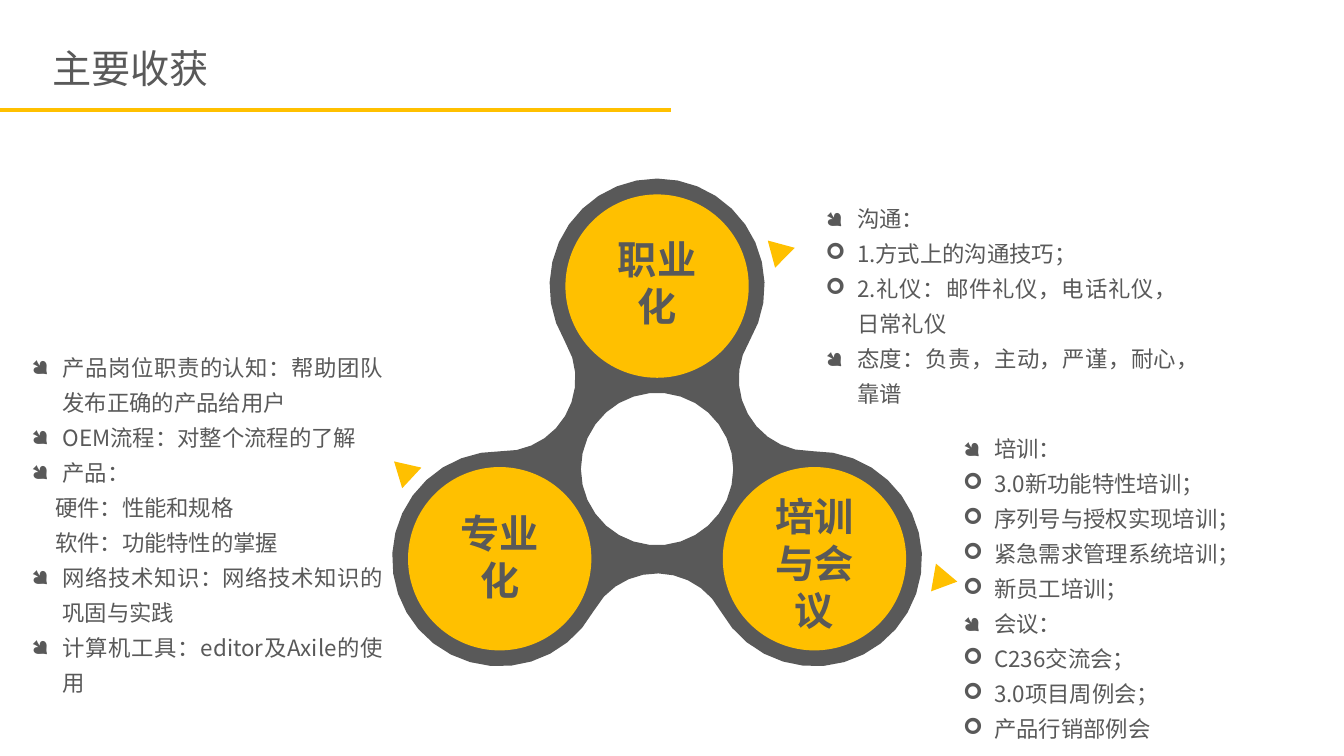
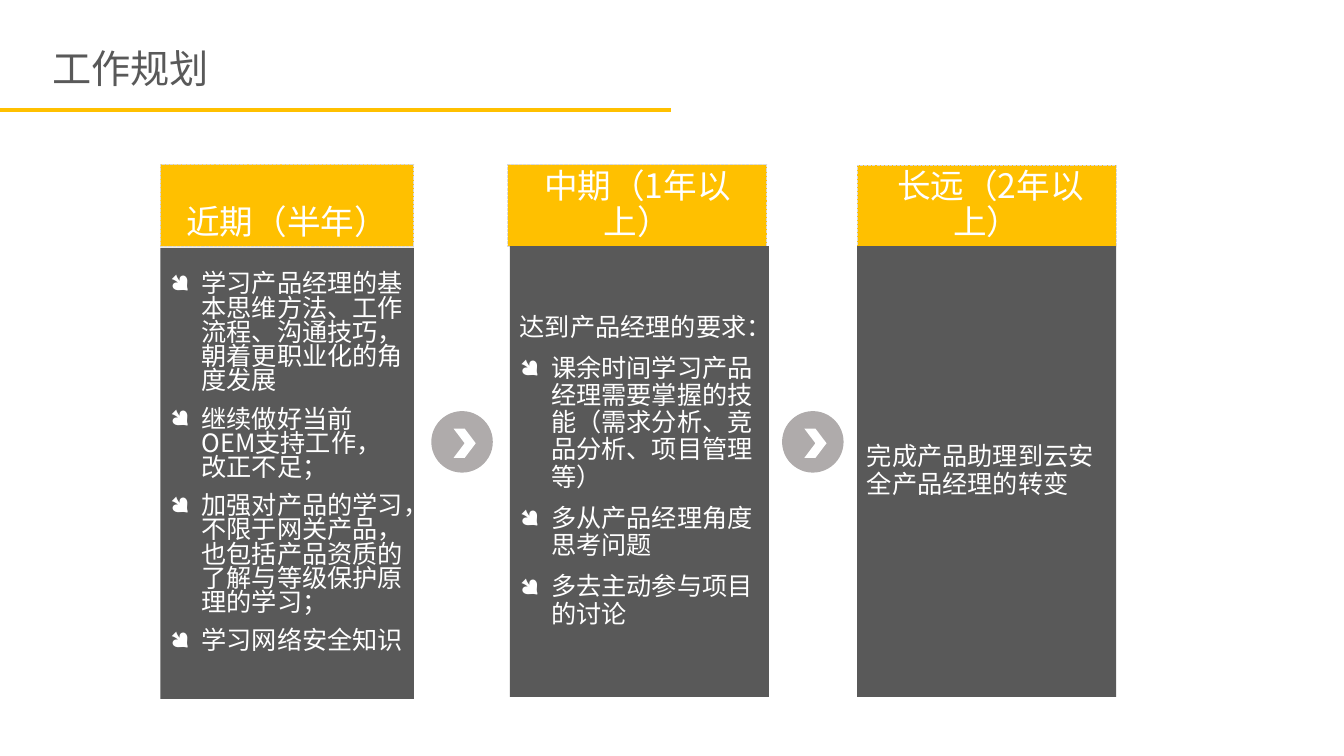
"""Build two slides: main gains and the work plan."""
from math import cos, radians, sin
from lxml.etree import SubElement
from pptx import Presentation
from pptx.dml.color import RGBColor
from pptx.enum.dml import MSO_LINE
from pptx.enum.shapes import MSO_CONNECTOR, MSO_SHAPE
from pptx.enum.text import MSO_ANCHOR, PP_ALIGN
from pptx.oxml.ns import qn
from pptx.util import Cm, Pt

FONT = "Noto Sans CJK SC"
GOLD, DARK, GREY, PALE, WHITE = "FFC000", "595959", "AFABAB", "D9D9D9", "FFFFFF"
HANG = Cm(0.79)


def paint(item, hue):
    """Fill a shape, line or font; strip a shape's outline and shadow."""
    item.fill.solid()
    item.fill.fore_color.rgb = RGBColor.from_string(hue)
    if hasattr(item, "shadow"):
        item.shadow.inherit = False
        item.line.fill.background()


def write(shape, rows, size, hue, align=PP_ALIGN.LEFT, anchor=MSO_ANCHOR.TOP,
          pitch=1.0, before=0, edge=(0, 0, 0, 0), pad=0, bold=False):
    """Write (mark, text) rows, where a mark becomes a hanging bullet."""
    frame = shape.text_frame
    frame.word_wrap = True
    frame.vertical_anchor = anchor
    frame.margin_left, frame.margin_top, frame.margin_right, frame.margin_bottom = map(Cm, edge)
    for i, (mark, text) in enumerate(rows):
        para = frame.add_paragraph() if i else frame.paragraphs[0]
        para.alignment = align
        para.line_spacing = pitch
        para.space_before = Pt(before)
        props = para._p.get_or_add_pPr()
        props.set("marL", str(HANG if mark else Cm(pad)))
        props.set("indent", str(-HANG if mark else 0))
        if mark:
            SubElement(props, qn("a:buFont")).set("typeface", "Wingdings")
            SubElement(props, qn("a:buChar")).set("char", mark)
        else:
            SubElement(props, qn("a:buNone"))
        run = para.add_run()
        run.text = text
        run.font.size = Pt(size)
        run.font.bold = bold
        run.font.name = FONT
        paint(run.font, hue)
        SubElement(run._r.get_or_add_rPr(), qn("a:ea")).set("typeface", FONT)


deck = Presentation()
deck.slide_width, deck.slide_height = Cm(33.87), Cm(19.05)
blank = deck.slide_layouts[6]
gains, plan = (deck.slides.add_slide(blank).shapes for i in range(2))

MIDX, MIDY = 16.56, 11.79
LOBE, DISC, BEND, HOLE = 2.71, 2.31, 1.83, 1.92
hubs, arcs = [], []
for turn in (-90, 30, 150):
    hub = (MIDX + 4.58 * cos(radians(turn)), MIDY + 4.58 * sin(radians(turn)))
    gap = (MIDX + 4.49 * cos(radians(turn + 60)), MIDY + 4.49 * sin(radians(turn + 60)))
    hubs.append(hub)
    arcs.append((hub, LOBE, range(turn - 121, turn + 122, 11)))
    arcs.append((gap, BEND, range(turn + 289, turn + 192, -12)))
arcs.append(((MIDX, 11.82), HOLE, range(360, 0, -12)))
curves = [[(Cm(x + r * cos(radians(a))), Cm(y + r * sin(radians(a)))) for a in span]
          for (x, y), r, span in arcs]
rim, hole = sum(curves[:-1], []), curves[-1]
path = gains.build_freeform(*rim[0], scale=1.0)
path.add_line_segments(rim[1:], close=True)
path.move_to(*hole[0])
path.add_line_segments(hole[1:], close=True)
paint(path.convert_to_shape(), DARK)

notes = [
    (20.81, 4.97, 5.33, [
        ("●", "沟通："),
        ("➢", "1.方式上的沟通技巧；"),
        ("➢", "2.礼仪：邮件礼仪，电话礼仪，日常礼仪"),
        ("●", "态度：负责，主动，严谨，耐心，靠谱"),
    ]),
    (0.79, 8.71, 8.92, [
        ("●", "产品岗位职责的认知：帮助团队发布正确的产品给用户"),
        ("●", "OEM流程：对整个流程的了解"),
        ("●", "产品："),
        ("", "硬件：性能和规格"),
        ("", "软件：功能特性的掌握"),
        ("●", "网络技术知识：网络技术知识的巩固与实践"),
        ("●", "计算机工具：editor及Axile的使用"),
    ]),
    (24.27, 10.77, 8.92, [
        ("●", "培训："),
        ("➢", "3.0新功能特性培训；"),
        ("➢", "序列号与授权实现培训；"),
        ("➢", "紧急需求管理系统培训；"),
        ("➢", "新员工培训；"),
        ("●", "会议："),
        ("➢", "C236交流会；"),
        ("➢", "3.0项目周例会；"),
        ("➢", "产品行销部例会"),
    ]),
]
for left, top, high, rows in notes:
    box = gains.add_textbox(Cm(left), Cm(top), Cm(8.86), Cm(high))
    write(box, rows, 16, DARK, PP_ALIGN.JUSTIFY, pitch=Pt(25), pad=0.6)

for left, top, turn in ((9.8, 11.53, 313), (19.38, 6.02, 74.9), (23.47, 14.3, 99.9)):
    tip = gains.add_shape(MSO_SHAPE.ISOSCELES_TRIANGLE, Cm(left), Cm(top), Cm(0.71), Cm(0.61))
    tip.rotation = turn
    paint(tip, GOLD)

labels = [("职业化", 5.94, 2.39), ("培训与会议", 12.4, 3.58), ("专业化", 12.83, 2.39)]
for (x, y), (label, top, high) in zip(hubs, labels):
    disc = gains.add_shape(MSO_SHAPE.OVAL, Cm(x - DISC), Cm(y - DISC), Cm(2 * DISC), Cm(2 * DISC))
    paint(disc, GOLD)
    box = gains.add_textbox(Cm(x - 1.27), Cm(top), Cm(2.54), Cm(high))
    write(box, [("", label)], 28, DARK, PP_ALIGN.CENTER, bold=True)

for left in (19.71, 10.87):
    group = plan.add_group_shape().shapes
    disc = group.add_shape(MSO_SHAPE.OVAL, Cm(left), Cm(10.36), Cm(1.55), Cm(1.55))
    paint(disc, GREY)
    mark = group.add_shape(MSO_SHAPE.CHEVRON, Cm(left + 0.56), Cm(10.8), Cm(0.56), Cm(0.74))
    paint(mark, WHITE)

cards = [
    (4.04, 4.04, 6.39, 4.14, 6.25, "近期（半年）", 0.8, 0.6, [
        ("●", "学习产品经理的基本思维方法、工作流程、沟通技巧，朝着更职业化的角度发展"),
        ("●", "继续做好当前OEM支持工作，改正不足；"),
        ("●", "加强对产品的学习，不限于网关产品，也包括产品资质的了解与等级保护原理的学习；"),
        ("●", "学习网络安全知识"),
    ]),
    (12.8, 12.85, 6.53, 4.15, 6.2, "中期（1年以上）", 0.9, 0.13, [
        ("", "达到产品经理的要求："),
        ("●", "课余时间学习产品经理需要掌握的技能（需求分析、竞品分析、项目管理等）"),
        ("●", "多从产品经理角度思考问题"),
        ("●", "多去主动参与项目的讨论"),
    ]),
    (21.6, 21.6, 6.53, 4.16, 6.2, " 长远（2年以上）", 0.9, 0.13, [
        ("", "完成产品助理到云安全产品经理的转变"),
    ]),
]
for left, inner, wide, top, base, name, pitch, foot, rows in cards:
    head = plan.add_shape(MSO_SHAPE.RECTANGLE, Cm(left), Cm(top), Cm(wide), Cm(2.07))
    paint(head, GOLD)
    paint(head.line, PALE)
    head.line.width = Pt(0.75)
    head.line.dash_style = MSO_LINE.SQUARE_DOT
    write(head, [("", name)], 24, WHITE, PP_ALIGN.CENTER, MSO_ANCHOR.BOTTOM,
          0.9, 10, (0.25, 0.13, 0.25, 0.13))
    body = plan.add_shape(MSO_SHAPE.RECTANGLE, Cm(inner), Cm(base), Cm(wide), Cm(11.36))
    paint(body, DARK)
    write(body, rows, 18, WHITE, anchor=MSO_ANCHOR.MIDDLE,
          pitch=pitch, before=10, edge=(0.25, 0.13, 0.25, foot))

for shapes, title in ((gains, "主要收获"), (plan, "工作规划")):
    box = shapes.add_textbox(Cm(1.32), Cm(1.12), Cm(9.55), Cm(1.19))
    write(box, [("", title)], 28, DARK)
    rule = shapes.add_connector(MSO_CONNECTOR.STRAIGHT, Cm(-0.05), Cm(2.77), Cm(16.92), Cm(2.77))
    paint(rule.line, GOLD)
    rule.line.width = Pt(3)
    SubElement(rule._element.spPr, qn("a:effectLst"))

deck.save("out.pptx")
